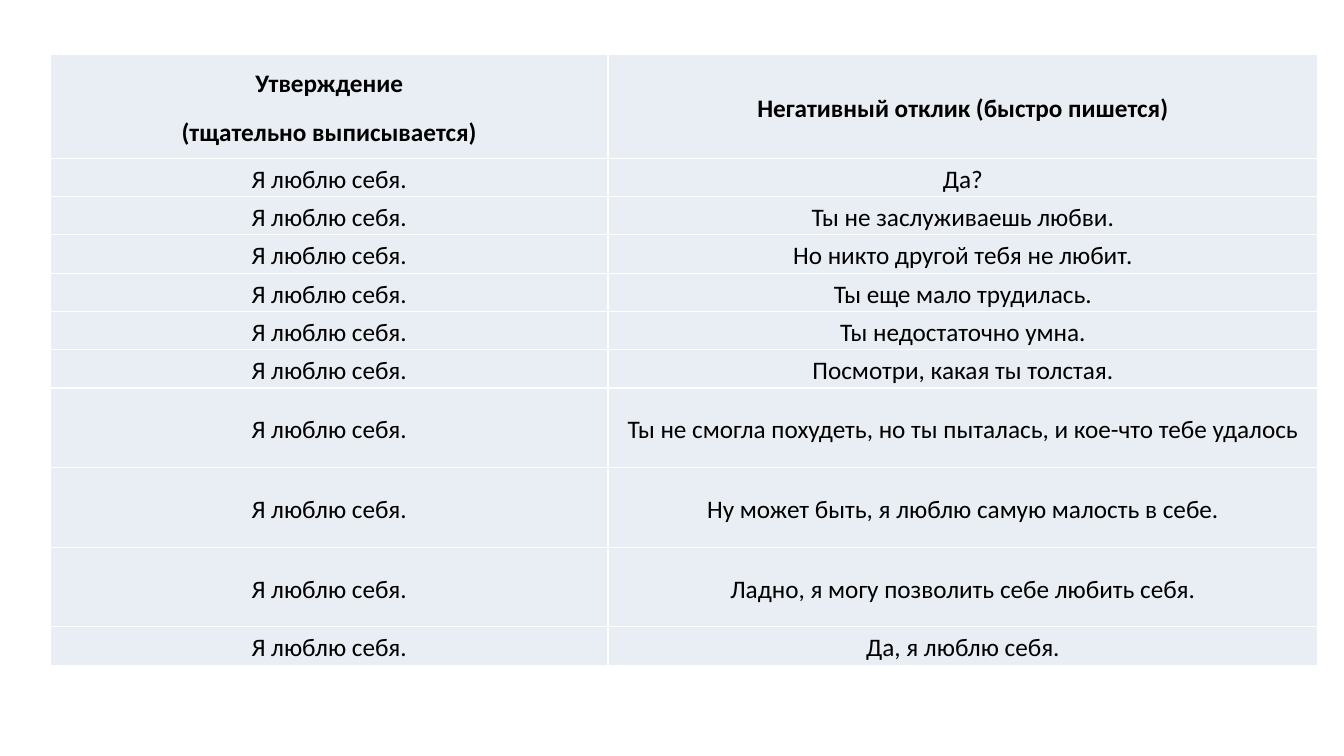
from pptx import Presentation
from pptx.dml.color import RGBColor
from pptx.enum.text import MSO_ANCHOR, PP_ALIGN
from pptx.oxml import parse_xml
from pptx.oxml.ns import nsdecls
from pptx.util import Inches, Pt

AFFIRMATION = "Я люблю себя."
HEADINGS = ("Утверждение\n(тщательно выписывается)",
            "Негативный отклик (быстро пишется)")
SHORT_ROW, TALL_ROW, HEADING_ROW = 0.38, 0.79, 1.03
RESPONSES = [
    ("Да?", SHORT_ROW),
    ("Ты не заслуживаешь любви.", SHORT_ROW),
    ("Но никто другой тебя не любит.", SHORT_ROW),
    ("Ты еще мало трудилась.", SHORT_ROW),
    ("Ты недостаточно умна.", SHORT_ROW),
    ("Посмотри, какая ты толстая.", SHORT_ROW),
    ("Ты не смогла похудеть, но ты пыталась, и кое-что тебе удалось", TALL_ROW),
    ("Ну может быть, я люблю самую малость в себе.", TALL_ROW),
    ("Ладно, я могу позволить себе любить себя.", TALL_ROW),
    ("Да, я люблю себя.", SHORT_ROW),
]


def color(hex_value):
    return RGBColor.from_string(hex_value)


def add_borders(cell, hex_value, width):
    properties = cell._tc.get_or_add_tcPr()
    for side in ("lnL", "lnR", "lnT", "lnB"):
        properties.append(parse_xml(
            f'<a:{side} {nsdecls("a")} w="{Pt(width)}"><a:solidFill>'
            f'<a:srgbClr val="{hex_value}"/></a:solidFill></a:{side}>'))


def fill_cell(cell, text, bold):
    cell.vertical_anchor = MSO_ANCHOR.MIDDLE
    cell.margin_left = cell.margin_right = Inches(0.02)
    cell.margin_top = cell.margin_bottom = 0
    add_borders(cell, "FFFFFF", 1)
    cell.fill.solid()
    cell.fill.fore_color.rgb = color("E9EDF4")
    cell.text_frame.text = text
    for paragraph in cell.text_frame.paragraphs:
        paragraph.alignment = PP_ALIGN.CENTER
        paragraph.line_spacing = 1.15
        paragraph.space_after = Pt(10)
        for run in paragraph.runs:
            run.font.name = "Calibri"
            run.font.size = Pt(18)
            run.font.bold = bold
            run.font.color.rgb = color("000000")


def add_affirmation_table(slide, left, top, width):
    heights = [HEADING_ROW] + [height for _, height in RESPONSES]
    rows = [HEADINGS] + [(AFFIRMATION, response) for response, _ in RESPONSES]
    table = slide.shapes.add_table(
        len(rows), len(HEADINGS), Inches(left), Inches(top),
        Inches(width), Inches(sum(heights))).table
    table.horz_banding = False
    for column, share in zip(table.columns, (0.44, 0.56)):
        column.width = Inches(width * share)
    for index, (texts, height) in enumerate(zip(rows, heights)):
        table.rows[index].height = Inches(height)
        for cell, text in zip(table.rows[index].cells, texts):
            fill_cell(cell, text, bold=index == 0)


def main():
    presentation = Presentation()
    presentation.slide_width = Inches(13.33)
    presentation.slide_height = Inches(7.5)
    slide = presentation.slides.add_slide(presentation.slide_layouts[6])
    add_affirmation_table(slide, 0.5, 0.54, 12.57)
    presentation.save("out.pptx")


if __name__ == "__main__":
    main()
